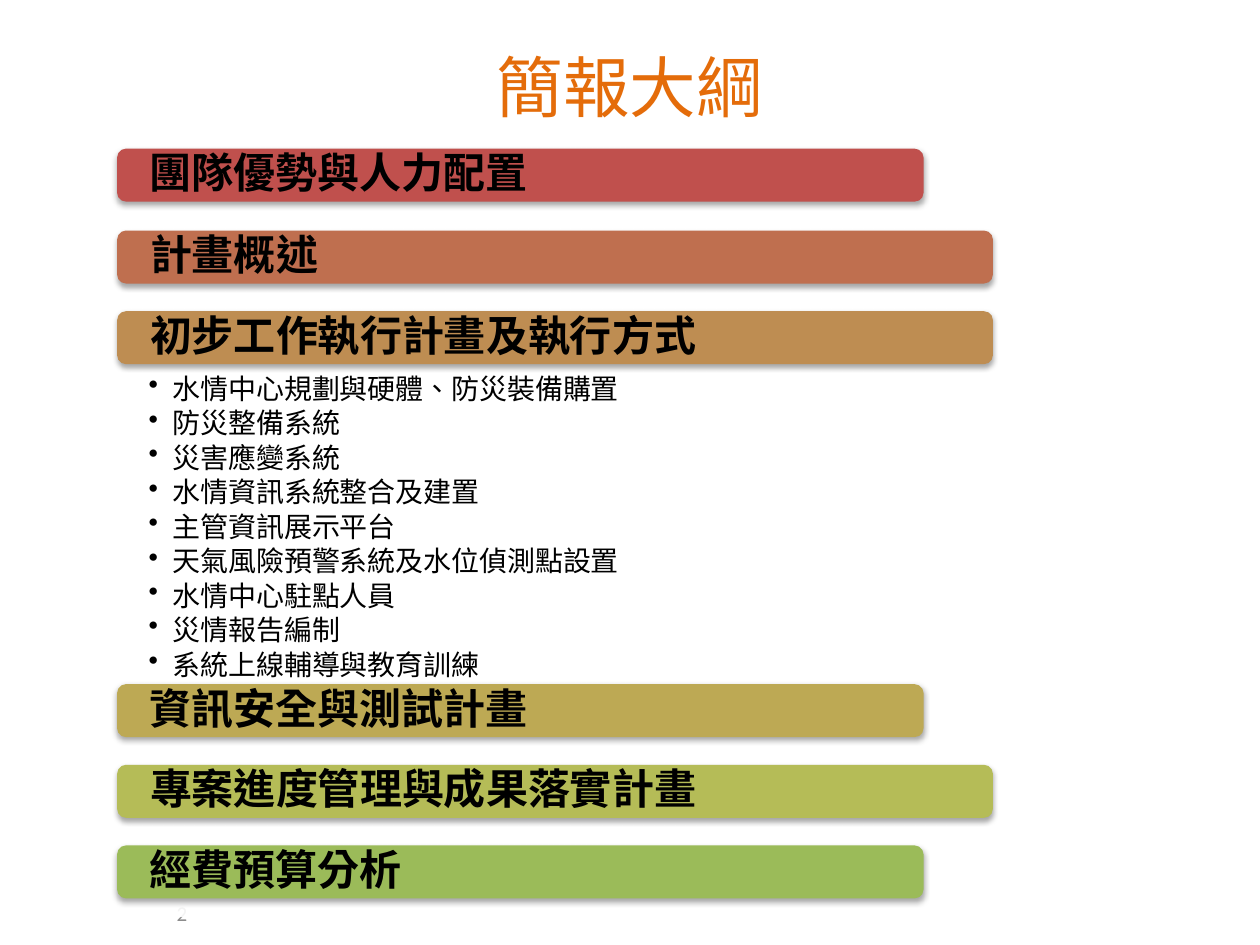
import pptx
import pptx.util
import pptx.dml.color
import pptx.enum.shapes
import pptx.enum.text
import pptx.oxml
import pptx.oxml.ns
from pptx.util import Inches

CJK_FONT = "Noto Sans CJK SC"
ALIGN = pptx.enum.text.PP_ALIGN
ANCHOR = pptx.enum.text.MSO_ANCHOR
SHAPE = pptx.enum.shapes.MSO_SHAPE
NAMESPACE = pptx.oxml.ns.nsdecls("a")


def color(hex_string):
    return pptx.dml.color.RGBColor.from_string(hex_string)


def write_text(shape, lines, size, hex_color="000000", font=CJK_FONT, bold=False,
               align=ALIGN.LEFT, anchor=ANCHOR.MIDDLE, insets=(0.1, 0.05),
               line_spacing=None, bullet=False):
    frame = shape.text_frame
    frame.word_wrap = True
    frame.vertical_anchor = anchor
    frame.margin_left = frame.margin_right = Inches(insets[0])
    frame.margin_top = frame.margin_bottom = Inches(insets[1])
    for index, line in enumerate(lines):
        paragraph = frame.paragraphs[0] if index == 0 else frame.add_paragraph()
        paragraph.alignment = align
        paragraph.line_spacing = line_spacing
        if bullet:
            properties = paragraph._p.get_or_add_pPr()
            properties.set("marL", str(Inches(0.19)))
            properties.set("indent", str(-Inches(0.19)))
            properties.append(pptx.oxml.parse_xml(f'<a:buChar {NAMESPACE} char="•"/>'))
        run = paragraph.add_run()
        run.text = line
        run.font.name = font
        run.font.size = pptx.util.Pt(size)
        run.font.bold = bold
        run.font.color.rgb = color(hex_color)
        run.font._element.set("lang", "zh-TW")
        run.font._element.append(
            pptx.oxml.parse_xml(f'<a:ea {NAMESPACE} typeface="{font}"/>'))


presentation = pptx.Presentation()
presentation.slide_width = Inches(10)
presentation.slide_height = Inches(7.5)
slide = presentation.slides.add_slide(presentation.slide_layouts[5])

# Title
title = slide.shapes.title
title.left, title.top = Inches(0.5), Inches(0.29)
title.width, title.height = Inches(9), Inches(0.79)
write_text(title, ["簡報大綱"], 38, hex_color="E46C0A", align=ALIGN.CENTER)

# Page number
page_number = slide.shapes.add_textbox(Inches(0.28), Inches(7.05), Inches(2.33), Inches(0.4))
write_text(page_number, ["2"], 12, hex_color="8C8C8C", font="Calibri", align=ALIGN.CENTER)

# Outline sections: heading, bar top, bar width, bar colour, sub-items
work_items = [
    "水情中心規劃與硬體、防災裝備購置",
    "防災整備系統",
    "災害應變系統",
    "水情資訊系統整合及建置",
    "主管資訊展示平台",
    "天氣風險預警系統及水位偵測點設置",
    "水情中心駐點人員",
    "災情報告編制",
    "系統上線輔導與教育訓練",
]
sections = [
    ("團隊優勢與人力配置", 1.18, 6.4, "C0504D", []),
    ("計畫概述", 1.83, 6.95, "BF6F4F", []),
    ("初步工作執行計畫及執行方式", 2.47, 6.95, "BE8D52", work_items),
    ("資訊安全與測試計畫", 5.43, 6.4, "BDA954", []),
    ("專案進度管理與成果落實計畫", 6.07, 6.95, "B5BC57", []),
    ("經費預算分析", 6.71, 6.4, "9BBB59", []),
]

for heading, top, width, bar_color, items in sections:
    # Translucent white panel behind the bar, holding any sub-items
    panel = slide.shapes.add_shape(SHAPE.RECTANGLE, Inches(0.47), Inches(top + 0.21),
                                   Inches(9.14), Inches(2.67 if items else 0.36))
    panel.shadow.inherit = False
    panel.line.fill.background()
    panel.fill.solid()
    panel.fill.fore_color.rgb = color("FFFFFF")
    panel_color = panel._element.spPr.find(".//" + pptx.oxml.ns.qn("a:srgbClr"))
    panel_color.append(pptx.oxml.parse_xml(f'<a:alpha {NAMESPACE} val="90000"/>'))
    if items:
        write_text(panel, items, 16, anchor=ANCHOR.TOP, insets=(0.71, 0.26),
                   line_spacing=pptx.util.Pt(19.7), bullet=True)

    # Heading bar with a soft shadow below
    bar = slide.shapes.add_shape(SHAPE.ROUNDED_RECTANGLE, Inches(0.93), Inches(top),
                                 Inches(width), Inches(0.42))
    bar.line.fill.background()
    bar.fill.solid()
    bar.fill.fore_color.rgb = color(bar_color)
    bar.shadow.inherit = False
    effects = bar._element.spPr.find(pptx.oxml.ns.qn("a:effectLst"))
    effects.append(pptx.oxml.parse_xml(
        f'<a:outerShdw {NAMESPACE} blurRad="40000" dist="23000" dir="5400000" rotWithShape="0">'
        '<a:srgbClr val="000000"><a:alpha val="35000"/></a:srgbClr></a:outerShdw>'))
    write_text(bar, [heading], 24, bold=True, insets=(0.24, 0), line_spacing=0.9)

presentation.save("out.pptx")
